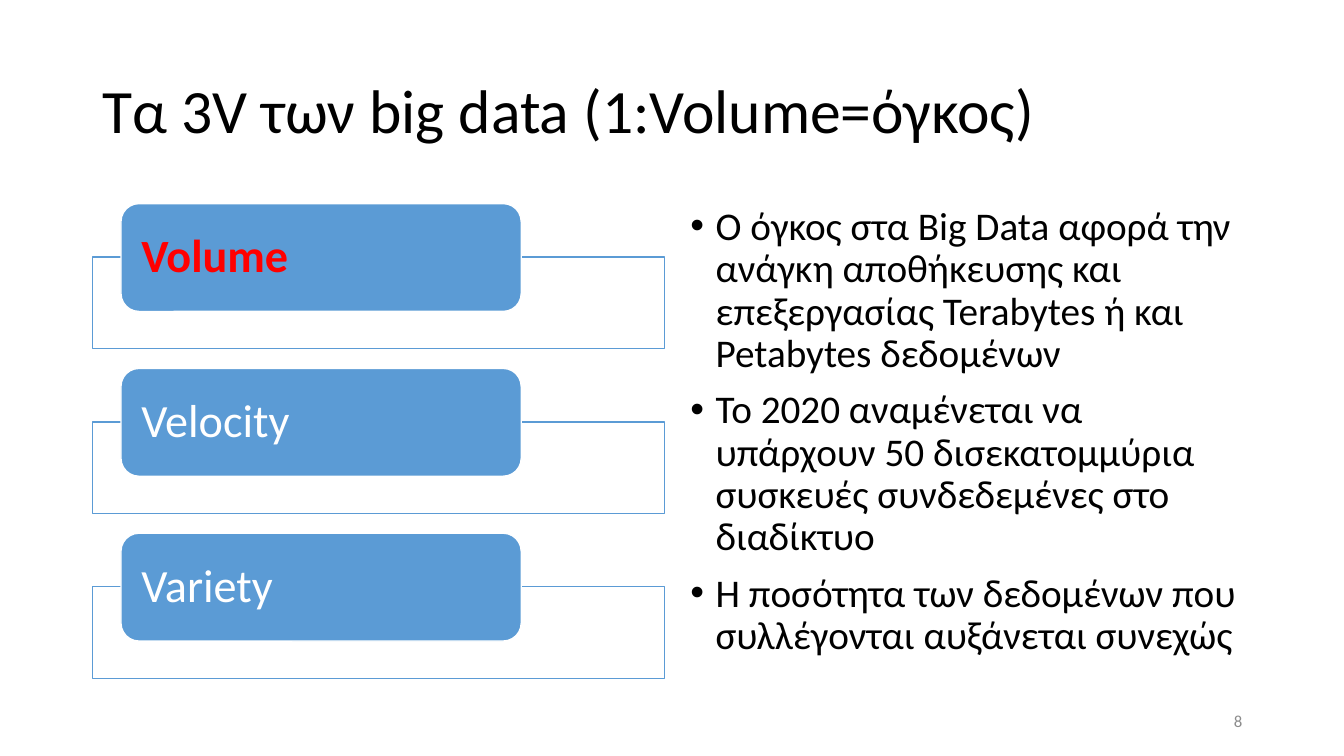
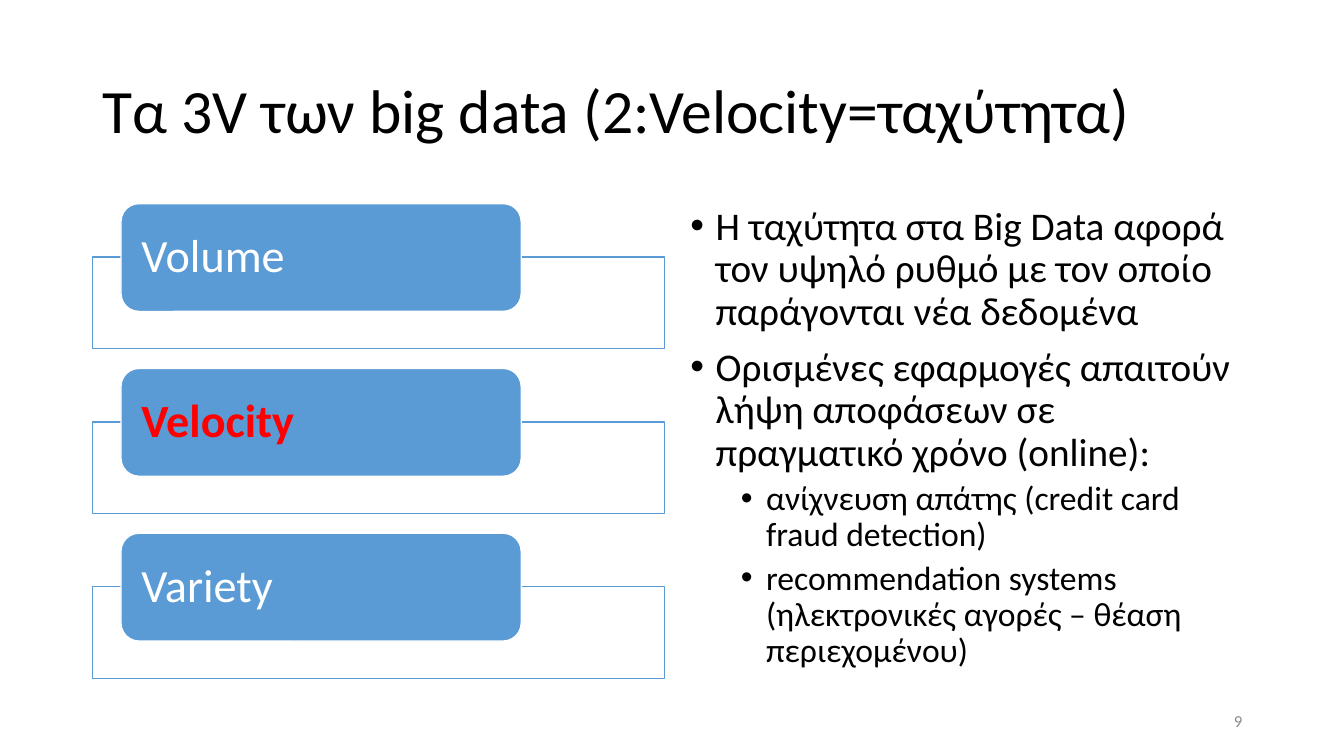
from lxml.etree import SubElement
from pptx import Presentation
from pptx.dml.color import RGBColor
from pptx.enum.shapes import MSO_SHAPE
from pptx.enum.text import MSO_ANCHOR, PP_ALIGN
from pptx.oxml.ns import qn
from pptx.util import Emu, Pt

PX = 9144  # 100 px to the inch
FONT = "Calibri"
BLACK, WHITE, BLUE, RED, GREY = "000000", "FFFFFF", "5B9BD5", "FF0000", "8C8C8C"

# Boxes: left, top, width, height
TITLE_BOX = (92, 40, 1150, 145)
CARDS_BOX = (92, 202, 567, 471)
BULLETS_BOX = (675, 200, 567, 476)
NUMBER_BOX = (942, 695, 300, 40)

TOPICS = ["Volume", "Velocity", "Variety"]
# Bullet levels: indent in px, text size, space before
LEVELS = [(25, 28, 10), (75, 24, 5)]
HANGING = 25

SLIDES = [
    ("Τα 3V των big data (1:Volume=όγκος)", "Volume", 8, [
        (0, "Ο όγκος στα Big Data αφορά την ανάγκη αποθήκευσης και "
            "επεξεργασίας Terabytes ή και Petabytes δεδομένων"),
        (0, "To 2020 αναμένεται να υπάρχουν 50 δισεκατομμύρια συσκευές "
            "συνδεδεμένες στο διαδίκτυο"),
        (0, "Η ποσότητα των δεδομένων που συλλέγονται αυξάνεται συνεχώς"),
    ]),
    ("Τα 3V των big data (2:Velocity=ταχύτητα)", "Velocity", 9, [
        (0, "Η ταχύτητα στα Big Data αφορά τον υψηλό ρυθμό με τον οποίο "
            "παράγονται νέα δεδομένα"),
        (0, "Ορισμένες εφαρμογές απαιτούν λήψη αποφάσεων σε πραγματικό "
            "χρόνο (online):"),
        (1, "ανίχνευση απάτης (credit card fraud detection)"),
        (1, "recommendation systems (ηλεκτρονικές αγορές – θέαση περιεχομένου)"),
    ]),
]


def px(length):
    return Emu(round(length * PX))


def color(hex_string):
    return RGBColor.from_string(hex_string)


def write(paragraph, text, size, ink=BLACK, bold=False, align=PP_ALIGN.LEFT,
          spacing=0.9, before=0):
    paragraph.alignment = align
    paragraph.line_spacing = spacing
    paragraph.space_before = Pt(before)
    run = paragraph.add_run()
    run.text = text
    run.font.name = FONT
    run.font.size = Pt(size)
    run.font.bold = bold
    run.font.color.rgb = color(ink)


def add_frame(slide, box, anchor=MSO_ANCHOR.MIDDLE):
    frame = slide.shapes.add_textbox(*map(px, box)).text_frame
    frame.word_wrap = True
    frame.vertical_anchor = anchor
    return frame


def add_block(slide, preset, box, fill, outline):
    block = slide.shapes.add_shape(preset, *map(px, box))
    block.shadow.inherit = False
    block.fill.solid()
    block.fill.fore_color.rgb = color(fill)
    block.line.color.rgb = color(outline)
    block.line.width = Pt(1)
    return block


def set_bullet(paragraph, indent):
    properties = paragraph._p.get_or_add_pPr()
    properties.set("marL", str(px(indent)))
    properties.set("indent", str(px(-HANGING)))
    SubElement(properties, qn("a:buFont")).set("typeface", "Arial")
    SubElement(properties, qn("a:buChar")).set("char", "•")


def add_topic_card(slide, box, topic, highlighted):
    left, top, width, height = box
    # Outlined panel, then the label overlapping its top edge
    add_block(slide, MSO_SHAPE.RECTANGLE, (left, top + 53, width, height - 53),
              WHITE, BLUE)
    label = add_block(slide, MSO_SHAPE.ROUNDED_RECTANGLE,
                      (left + 28, top, 397, 107), BLUE, WHITE)
    frame = label.text_frame
    frame.word_wrap = True
    frame.vertical_anchor = MSO_ANCHOR.MIDDLE
    # The rounded corners already inset the text by 5 px
    frame.margin_left = frame.margin_right = px(15)
    frame.margin_top = frame.margin_bottom = 0
    write(frame.paragraphs[0], topic, 33, ink=RED if highlighted else WHITE,
          bold=highlighted)


def add_topic_cards(slide, box, current, card_height=144):
    left, top, width, height = box
    pitch = (height - card_height) / (len(TOPICS) - 1)
    for row, topic in enumerate(TOPICS):
        add_topic_card(slide, (left, top + row * pitch, width, card_height),
                       topic, topic == current)


def add_bullets(slide, box, bullets):
    frame = add_frame(slide, box, MSO_ANCHOR.TOP)
    for position, (level, text) in enumerate(bullets):
        paragraph = frame.add_paragraph() if position else frame.paragraphs[0]
        indent, size, before = LEVELS[level]
        paragraph.level = level
        set_bullet(paragraph, indent)
        write(paragraph, text, size, before=before if position else 0)


def add_topic_slide(deck, title, current, number, bullets):
    slide = deck.slides.add_slide(deck.slide_layouts[6])
    write(add_frame(slide, TITLE_BOX).paragraphs[0], title, 44)
    add_topic_cards(slide, CARDS_BOX, current)
    add_bullets(slide, BULLETS_BOX, bullets)
    write(add_frame(slide, NUMBER_BOX).paragraphs[0], str(number), 12,
          ink=GREY, align=PP_ALIGN.RIGHT, spacing=1.0)


def main():
    deck = Presentation()
    deck.slide_width, deck.slide_height = px(1333), px(750)
    for content in SLIDES:
        add_topic_slide(deck, *content)
    deck.save("out.pptx")


if __name__ == "__main__":
    main()
